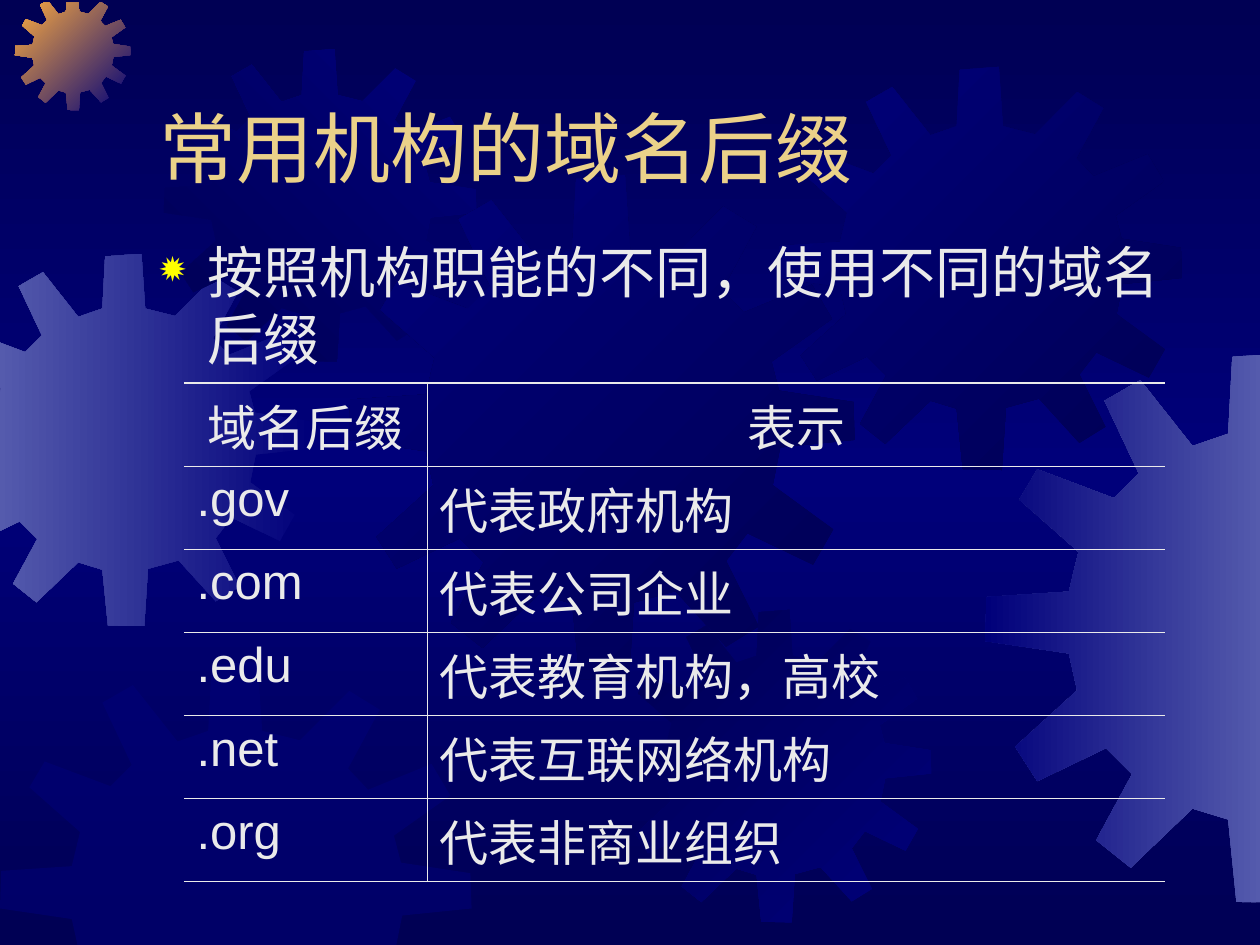
from copy import deepcopy

from lxml import etree
from pptx import Presentation
from pptx.dml.color import RGBColor
from pptx.enum.text import MSO_ANCHOR, PP_ALIGN
from pptx.oxml.ns import qn
from pptx.util import Pt

BOTTOM, TOP = MSO_ANCHOR.BOTTOM, MSO_ANCHOR.TOP
CENTER, LEFT = PP_ALIGN.CENTER, PP_ALIGN.LEFT

NAVY = RGBColor(0x00, 0x00, 0x54)
BLUE = RGBColor(0x00, 0x00, 0x7A)
LILAC = RGBColor(0x55, 0x5B, 0xAD)
ORANGE = RGBColor(0xFC, 0xAB, 0x40)
GOLD = RGBColor(0xEB, 0xD1, 0x89)
YELLOW = RGBColor(0xFF, 0xFF, 0x00)
PALE = RGBColor(0xEA, 0xEA, 0xEA)

FONT = "Arial"
FRAME = (-1, 1.5, 721, 543)
THIN, THICK = 0.45, 1.08

GEAR_GRID = 401
GEAR = [
    (255, 67), (223, 59), (219, 0), (180, 3), (177, 59), (151, 68), (113, 20), (87, 35),
    (112, 88), (94, 106), (38, 85), (25, 107), (68, 145), (61, 174), (1, 178), (0, 210),
    (61, 219), (67, 246), (22, 287), (38, 312), (88, 288), (107, 307), (81, 355), (106, 375),
    (151, 332), (177, 340), (183, 400), (222, 401), (226, 339), (259, 330), (299, 374), (325, 358),
    (299, 306), (316, 284), (368, 309), (384, 281), (336, 246), (342, 216), (401, 210), (400, 180),
    (341, 171), (335, 148), (383, 114), (367, 87), (313, 109), (296, 91), (323, 41), (297, 25),
]

GEARS = [
    (-35.5, 145, 213, (BLUE, LILAC), 180),
    (8.6, -3, 66, (BLUE, ORANGE), 225),
    (93.6, 28, 178.6, (BLUE, NAVY), 135),
    (199.4, 100, 289, (NAVY, BLUE), 225),
    (0, 378, 269.5, (BLUE,), 50),
    (353.5, 348.5, 178.6, (BLUE, NAVY), 225),
    (445, 38.2, 230.4, (NAVY, BLUE), 225),
    (563, 201.6, 314.6, (LILAC, BLUE), 180),
]

ROWS = [
    ("域名后缀", "表示"),
    (".gov", "代表政府机构"),
    (".com", "代表公司企业"),
    (".edu", "代表教育机构，高校"),
    (".net", "代表互联网络机构"),
    (".org", "代表非商业组织"),
]


def add_element(parent, tag, **attrs):
    """Append a DrawingML element and return it."""
    return etree.SubElement(parent, qn(tag), attrs)


def set_gradient(fill, colors, clockwise):
    """Apply a two-stop linear gradient."""
    fill.gradient()
    fill.gradient_angle = 360 - clockwise
    for stop, color in zip(fill.gradient_stops, colors):
        stop.color.rgb = color


def set_background(s):
    """Fill the background with a navy, blue, navy gradient."""
    set_gradient(s.background.fill, (NAVY, BLUE), 90)
    stops = s.element.find(".//" + qn("a:gsLst"))
    stops.append(deepcopy(stops[0]))
    for stop, pos in zip(stops, (0, 50000, 100000)):
        stop.set("pos", str(pos))


def clip(points, axis, limit, sign):
    """Cut a polygon along one edge of the frame."""
    kept = []
    for a, b in zip(points, points[1:] + points[:1]):
        da, db = sign * (a[axis] - limit), sign * (b[axis] - limit)
        if da >= 0:
            kept.append(a)
        if da * db < 0:
            t = da / (da - db)
            kept.append(tuple(u + t * (v - u) for u, v in zip(a, b)))
    return kept


def add_gear(s, left, top, size, colors, setting):
    """Draw a gear; the setting is a gradient angle, or opacity for one colour."""
    k = size / GEAR_GRID
    points = [(left + x * k, top + y * k) for x, y in GEAR]
    for i, limit in enumerate(FRAME):
        points = clip(points, i % 2, limit, 1 if i < 2 else -1)
    points = [(Pt(x), Pt(y)) for x, y in points]
    builder = s.shapes.build_freeform(*points[0])
    builder.add_line_segments(points[1:], close=True)
    sp = builder.convert_to_shape()
    sp.shadow.inherit = False
    sp.line.fill.background()
    if len(colors) == 2:
        set_gradient(sp.fill, colors, setting)
    else:
        sp.fill.solid()
        sp.fill.fore_color.rgb = colors[0]
        color = sp.element.spPr.find(".//" + qn("a:srgbClr"))
        add_element(color, "a:alpha", val=str(setting * 1000))


def add_run(p, text, size, color):
    """Add a run in the slide's font."""
    r = p.add_run()
    r.text = text
    r.font.name, r.font.size = FONT, Pt(size)
    r.font.color.rgb = color


def add_text(s, box, text, size, color, anchor):
    """Add a wrapped text box and return its paragraph."""
    tf = s.shapes.add_textbox(*map(Pt, box)).text_frame
    tf.word_wrap = True
    tf.vertical_anchor = anchor
    p = tf.paragraphs[0]
    add_run(p, text, size, color)
    return p


def set_bullet(p, char, color, percent, indent):
    """Give a paragraph a hanging bullet."""
    pPr = p._p.get_or_add_pPr()
    pPr.set("marL", str(Pt(indent)))
    pPr.set("indent", str(-Pt(indent)))
    add_element(add_element(pPr, "a:buClr"), "a:srgbClr", val=str(color))
    add_element(pPr, "a:buSzPct", val=str(percent * 1000))
    add_element(pPr, "a:buChar", char=char)


def set_borders(cell, **widths):
    """Draw the cell's sides, leaving out those of zero width."""
    tcPr = cell._tc.get_or_add_tcPr()
    for side in "LRTB":
        ln = add_element(tcPr, "a:ln" + side, w=str(Pt(widths[side])))
        if widths[side]:
            add_element(add_element(ln, "a:solidFill"), "a:srgbClr", val=str(PALE))
        else:
            add_element(ln, "a:noFill")


def add_suffix_table(s):
    """Add the table of domain suffixes."""
    last = len(ROWS) - 1
    box = map(Pt, (105.1, 218.9, 560.9, 47.5 * len(ROWS)))
    table = s.shapes.add_table(len(ROWS), 2, *box).table
    table.first_row = table.horz_banding = False
    table.columns[0].width, table.columns[1].width = Pt(139), Pt(421.9)
    for i, row in enumerate(ROWS):
        for j, text in enumerate(row):
            cell = table.cell(i, j)
            set_borders(cell, L=THIN * j, R=THIN * (1 - j),
                        T=THIN if i else THICK, B=THIN if i < last else THICK)
            cell.fill.background()
            p = cell.text_frame.paragraphs[0]
            p.alignment = LEFT if i else CENTER
            add_run(p, text, 28, PALE)


def main():
    """Build and save the slide."""
    prs = Presentation()
    prs.slide_width, prs.slide_height = Pt(720), Pt(540)
    s = prs.slides.add_slide(prs.slide_layouts[6])
    set_background(s)
    for gear in GEARS:
        add_gear(s, *gear)
    add_text(s, (84, 24, 612, 90), "常用机构的域名后缀", 44, GOLD, BOTTOM)
    p = add_text(s, (84, 132, 610.5, 359), "按照机构职能的不同，使用不同的域名后缀", 32, PALE, TOP)
    set_bullet(p, "✹", YELLOW, 80, 27.4)
    add_suffix_table(s)
    prs.save("out.pptx")


if __name__ == "__main__":
    main()
